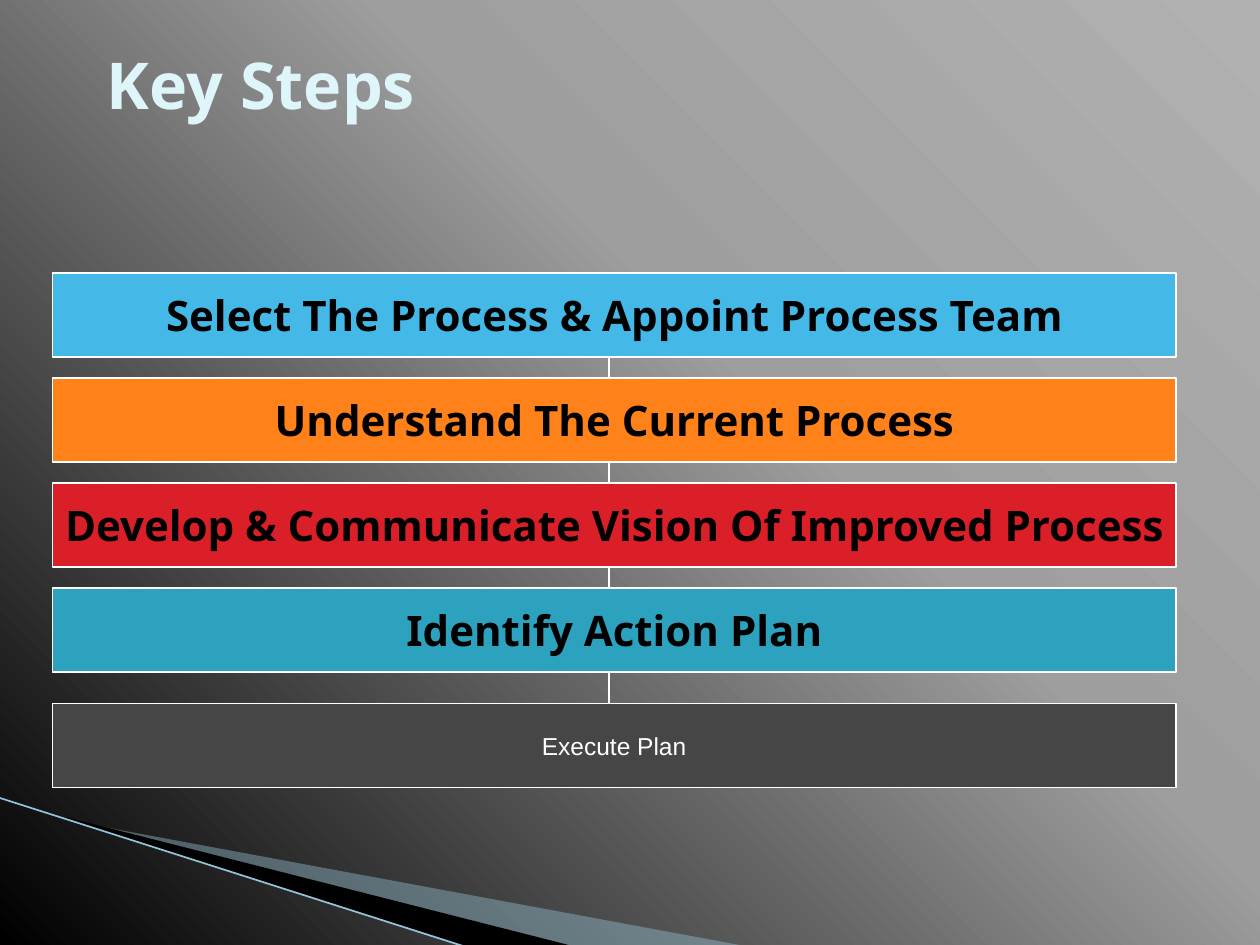
from dataclasses import dataclass
from itertools import pairwise

from lxml import etree
from pptx import Presentation
from pptx import util as u
from pptx.dml.color import RGBColor
from pptx.enum import shapes, text
from pptx.oxml import ns


@dataclass(frozen=True)
class Theme:
    background: tuple = ((0, "B1B1B1"), (40, "9E9E9E"), (100, "000000"))
    title: str = "DEF5FA"
    light: str = "FFFFFF"
    dark: str = "000000"
    wedge: str = "9CCADC"
    edge: str = "93C5D8"
    steps: tuple = ("44B9E8", "FF8119", "DA1F28", "2DA2BF", "464646")
    heading_font: str = "Noto Sans"
    plain_font: str = "Arial"
    title_size: float = 36.9
    step_size: float = 24
    plain_size: float = 14
    line_width: float = 0.75
    edge_width: float = 0.95


def add_element(parent, tag, **attributes):
    return etree.SubElement(parent, ns.qn(tag), attributes)


def write(shape, words, *, font, size, color, bold=False, align=None, wrap=True):
    frame = shape.text_frame
    frame.word_wrap = wrap
    frame.vertical_anchor = text.MSO_ANCHOR.MIDDLE
    para = frame.paragraphs[0]
    para.alignment = align
    span = para.add_run()
    span.text = words
    span.font.name = font
    span.font.size = u.Pt(size)
    span.font.bold = bold
    span.font.color.rgb = RGBColor.from_string(color)


class Painter:
    def __init__(self, slide, theme):
        self.slide = slide
        self.theme = theme

    def background(self):
        self.slide.background.fill.gradient()
        gradient = self.slide.element.find(".//" + ns.qn("a:gradFill"))
        for child in list(gradient):
            gradient.remove(child)
        stops = add_element(gradient, "a:gsLst")
        for percent, color in self.theme.background:
            stop = add_element(stops, "a:gs", pos=str(percent * 1000))
            add_element(stop, "a:srgbClr", val=color)
        circle = add_element(gradient, "a:path", path="circle")
        add_element(circle, "a:fillToRect", l="100000", b="100000")

    def polygon(self, points, color, opacity=100):
        start, *rest = points
        builder = self.slide.shapes.build_freeform(*start, scale=u.Pt(1))
        builder.add_line_segments(rest, close=True)
        shape = builder.convert_to_shape()
        self.paint(shape, color)
        shape.line.fill.background()
        if opacity < 100:
            fill = shape.element.spPr.find(ns.qn("a:solidFill"))
            add_element(fill[0], "a:alpha", val=str(opacity * 1000))

    def paint(self, shape, color):
        shape.shadow.inherit = False
        shape.fill.solid()
        shape.fill.fore_color.rgb = RGBColor.from_string(color)

    def stroke(self, shape, color, width):
        shape.line.color.rgb = RGBColor.from_string(color)
        shape.line.width = u.Pt(width)

    def line(self, start, end, color, width):
        points = [u.Pt(value) for value in (*start, *end)]
        connector = self.slide.shapes.add_connector(shapes.MSO_CONNECTOR.STRAIGHT, *points)
        self.stroke(connector, color, width)
        add_element(connector.element.spPr, "a:effectLst")

    def title(self, words, *area):
        box = self.slide.shapes.add_textbox(*map(u.Pt, area))
        write(box, words, font=self.theme.heading_font, size=self.theme.title_size,
              color=self.theme.title, bold=True)

    def step(self, words, fill, *area, **style):
        box = self.slide.shapes.add_shape(shapes.MSO_SHAPE.RECTANGLE, *map(u.Pt, area))
        self.paint(box, fill)
        self.stroke(box, self.theme.light, self.theme.line_width)
        write(box, words, align=text.PP_ALIGN.CENTER, wrap=False, **style)


def main():
    theme = Theme()
    deck = Presentation()
    deck.slide_width, deck.slide_height = u.Pt(720), u.Pt(540)
    painter = Painter(deck.slides.add_slide(deck.slide_layouts[6]), theme)

    painter.background()
    painter.polygon([(39.6, 468.7), (428.4, 540.7), (328.3, 540.7), (39.6, 468)],
                    theme.wedge, opacity=40)
    painter.polygon([(38.2, 467.3), (329, 540.7), (267.8, 541.4), (38.9, 468)], theme.dark)
    painter.line((-0.7, 455.8), (267.1, 541.4), theme.edge, theme.edge_width)
    painter.title("Key Steps", 54, 24, 648, 48)

    strong = dict(font=theme.heading_font, size=theme.step_size, color=theme.dark, bold=True)
    plain = dict(font=theme.plain_font, size=theme.plain_size, color=theme.light)
    steps = [
        ("Select The Process & Appoint Process Team", 156, strong),
        ("Understand The Current Process", 216, strong),
        ("Develop & Communicate Vision Of Improved Process", 276, strong),
        ("Identify Action Plan", 336, strong),
        ("Execute Plan", 402, plain),
    ]
    left, width, height, link = 30, 642, 48, 348
    for (words, top, style), fill in zip(steps, theme.steps):
        painter.step(words, fill, left, top, width, height, **style)
    for (_, upper, _), (_, lower, _) in pairwise(steps):
        painter.line((link, upper + height), (link, lower), theme.light, theme.line_width)

    deck.save("out.pptx")


if __name__ == "__main__":
    main()
